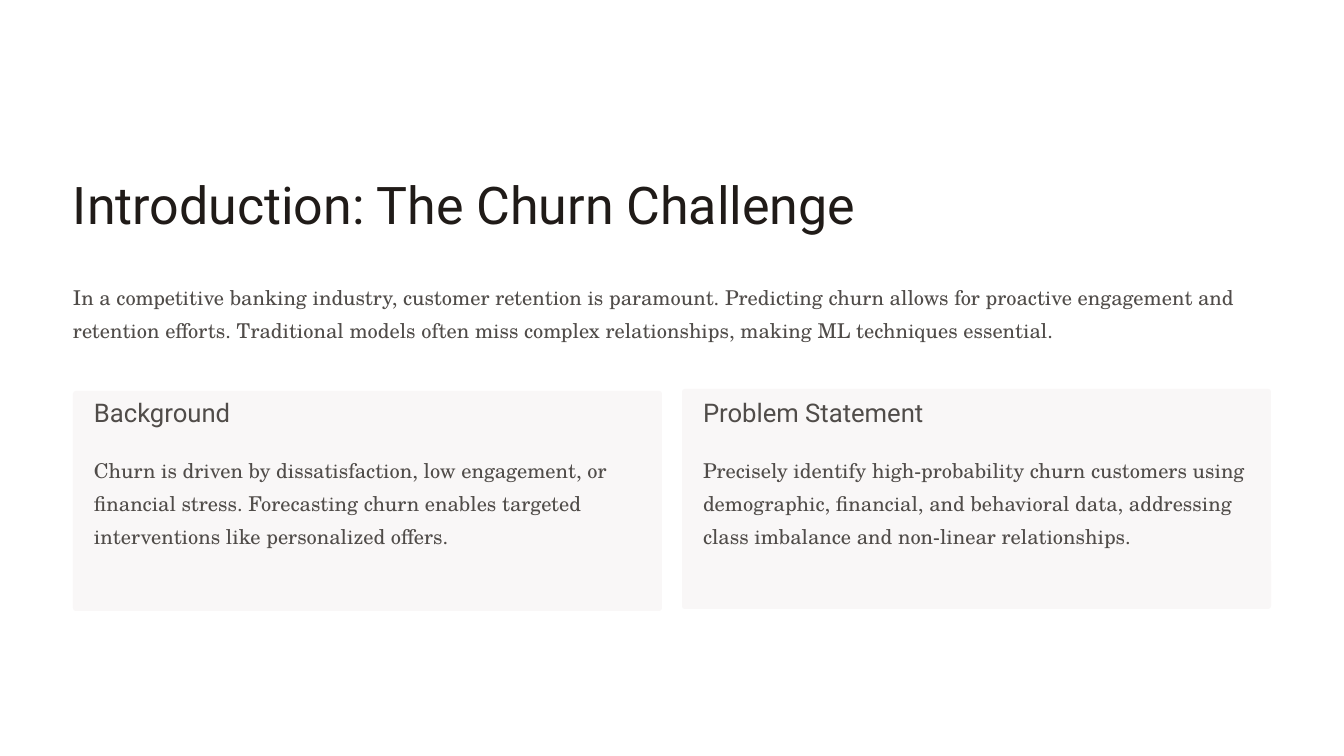
import pptx
import pptx.util
import pptx.dml.color
import pptx.enum.shapes
import pptx.enum.text

PX = pptx.util.Inches(1) // 84
INK = pptx.dml.color.RGBColor(0x20, 0x1B, 0x18)
GRAY = pptx.dml.color.RGBColor(0x50, 0x4C, 0x49)
PANEL = pptx.dml.color.RGBColor(0xF9, 0xF7, 0xF7)
WHITE = pptx.dml.color.RGBColor(0xFF, 0xFF, 0xFF)

TITLE = {"font": "Roboto", "size": 44.5, "color": INK, "spacing": 55.5, "wrap": False}
HEADING = {"font": "Roboto", "size": 22, "color": GRAY, "spacing": 27.5, "wrap": False}
BODY = {"font": "TeX Gyre Schola", "size": 17.5, "color": GRAY, "spacing": 28.5, "wrap": True}

CARDS = [
    ("Background",
     "Churn is driven by dissatisfaction, low engagement, or financial stress. "
     "Forecasting churn enables targeted interventions like personalized offers.", 2, 100),
    ("Problem Statement",
     "Precisely identify high-probability churn customers using demographic, financial, "
     "and behavioral data, addressing class imbalance and non-linear relationships.", 0, 134),
]


def scaled(box):
    return [length * PX for length in box]


def set_all(target, values):
    for name, value in values.items():
        setattr(target, name, value)


def write_text(shape, text, style):
    frame = shape.text_frame
    set_all(frame, {
        "margin_left": 0, "margin_top": 0, "margin_right": 0, "margin_bottom": 0,
        "auto_size": pptx.enum.text.MSO_AUTO_SIZE.NONE,
        "vertical_anchor": pptx.enum.text.MSO_ANCHOR.TOP,
        "word_wrap": style["wrap"],
    })
    para = frame.paragraphs[0]
    set_all(para, {
        "alignment": pptx.enum.text.PP_ALIGN.LEFT,
        "line_spacing": pptx.util.Pt(style["spacing"]),
    })
    span = para.add_run()
    span.text = text
    set_all(span.font, {"name": style["font"], "size": pptx.util.Pt(style["size"])})
    span.font.color.rgb = style["color"]


def add_text(page, box, text, style):
    write_text(page.shapes.add_textbox(*scaled(box)), text, style)


def add_title(page, box, text):
    title = page.shapes.title
    set_all(title, dict(zip(("left", "top", "width", "height"), scaled(box))))
    write_text(title, text, TITLE)


def add_card(page, box, heading, body, panel_drop, body_height):
    left, top, width, height = box
    panel = page.shapes.add_shape(
        pptx.enum.shapes.MSO_SHAPE.ROUNDED_RECTANGLE,
        *scaled((left, top + panel_drop, width, height)))
    panel.adjustments[0] = 0.014
    panel.shadow.inherit = False
    panel.fill.solid()
    panel.fill.fore_color.rgb = PANEL
    panel.line.fill.background()
    inset = 21
    add_text(page, (left + inset, top + 7, 260, 33), heading, HEADING)
    add_text(page, (left + inset, top + 60, width - 2 * inset, body_height), body, BODY)


def add_cards(page, box):
    left, top, width, height = box
    gap = 20
    card_width = (width - gap) // len(CARDS)
    for index, card in enumerate(CARDS):
        card_left = left + index * (card_width + gap)
        add_card(page, (card_left, top, card_width, height), *card)


def main():
    deck = pptx.Presentation()
    set_all(deck, {"slide_width": 1344 * PX, "slide_height": 756 * PX})
    page = deck.slides.add_slide(deck.slide_layouts[5])
    page.background.fill.solid()
    page.background.fill.fore_color.rgb = WHITE
    add_title(page, (73, 170, 890, 66), "Introduction: The Churn Challenge")
    add_text(page, (73, 276, 1198, 66),
             "In a competitive banking industry, customer retention is paramount. "
             "Predicting churn allows for proactive engagement and retention efforts. "
             "Traditional models often miss complex relationships, making ML techniques essential.",
             BODY)
    add_cards(page, (73, 389, 1198, 220))
    deck.save("out.pptx")


if __name__ == "__main__":
    main()
